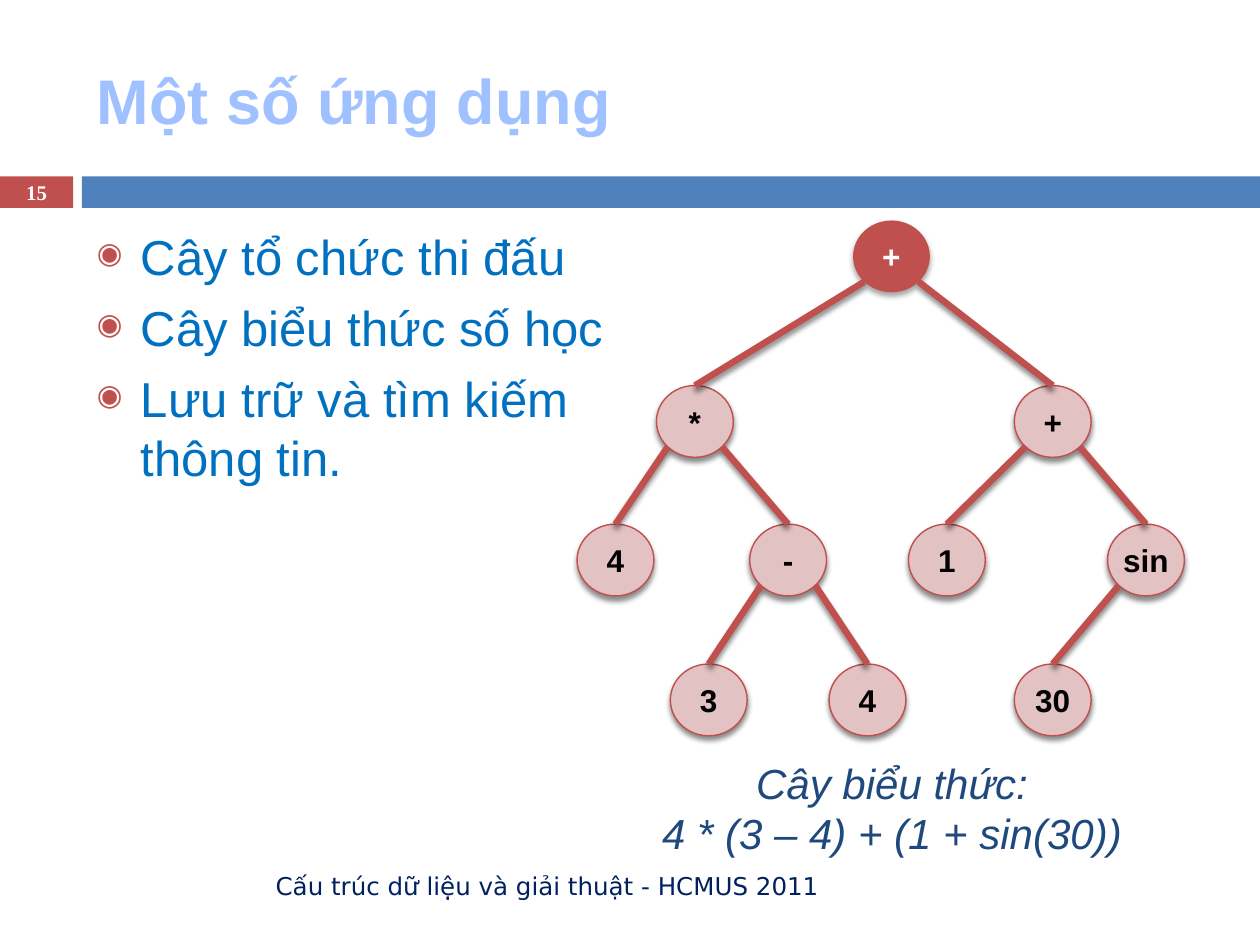
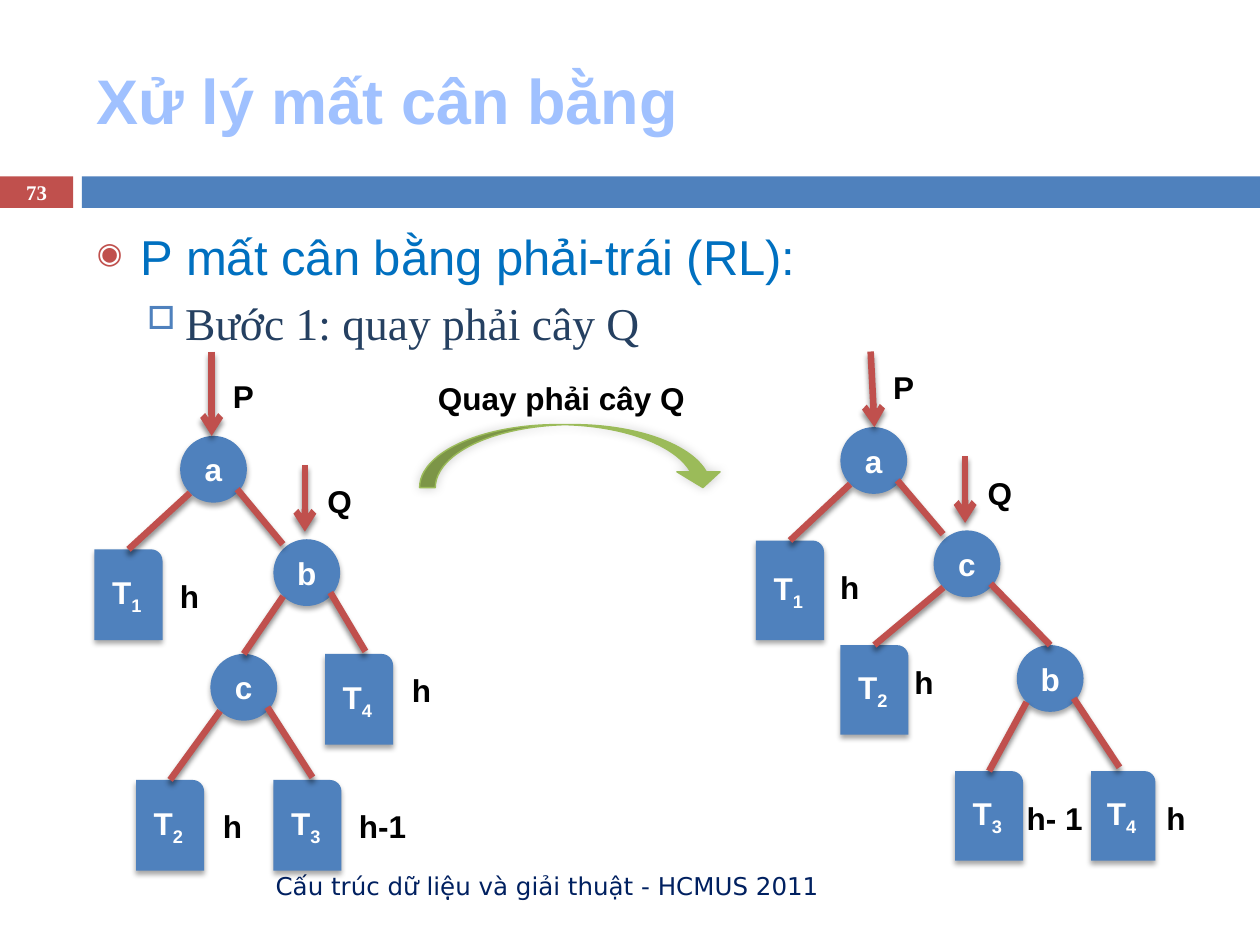
"""Builds two lecture slides on tree applications and AVL rotation."""
from dataclasses import dataclass

from lxml import etree
from pptx import Presentation
from pptx.dml.color import RGBColor
from pptx.enum.shapes import MSO_CONNECTOR, MSO_SHAPE
from pptx.enum.text import MSO_ANCHOR, PP_ALIGN
from pptx.oxml.ns import qn
from pptx.util import Inches, Pt

STRAIGHT = MSO_CONNECTOR.STRAIGHT
RECTANGLE, ELLIPSE = MSO_SHAPE.RECTANGLE, MSO_SHAPE.OVAL
SUBTREE, CURVED_ARROW = MSO_SHAPE.ROUND_1_RECTANGLE, MSO_SHAPE.CURVED_DOWN_ARROW
LEFT, CENTER, RIGHT = PP_ALIGN.LEFT, PP_ALIGN.CENTER, PP_ALIGN.RIGHT
TOP, MIDDLE = MSO_ANCHOR.TOP, MSO_ANCHOR.MIDDLE

RED, BLUE, GREEN, PINK = "C0504D", "4F81BD", "9BBB59", "E2C2C2"
WHITE, BLACK, TITLE_BLUE = "FFFFFF", "000000", "A0C1FF"
BODY_BLUE, SUB_BLUE, CAPTION_BLUE, FOOTER_BLUE = "0070C0", "254061", "1F497D", "002060"
SANS, SERIF, FOOTER_FONT = "Arial", "Times New Roman", "DejaVu Sans"
FOOTER = "Cấu trúc dữ liệu và giải thuật - HCMUS 2011"
DIAGONAL = 0.5 ** 0.5 / 2


@dataclass(frozen=True)
class Style:
    """Look of a piece of text."""
    size: float
    color: str
    font: str = SANS
    bold: bool = False
    italic: bool = False


@dataclass(frozen=True)
class Shadow:
    """Outer shadow with lengths in points."""
    opacity: int
    blur: float
    distance: float
    angle: int = 90


@dataclass(frozen=True)
class Bullet:
    """Look of one outline level."""
    mark: str
    color: str
    percent: int
    margin: float
    hanging: float
    space: float
    style: Style


@dataclass(frozen=True)
class NodeStyle:
    """Look of a tree node."""
    geometry: MSO_SHAPE
    fill: str
    text: str
    line: str | None
    shadow: Shadow


@dataclass(frozen=True)
class Node:
    """Tree node; entry is the offset of its edge from the top centre."""
    label: str
    left: float
    top: float
    width: float
    height: float
    style: NodeStyle
    parent: int | None = None
    entry: tuple[float, float] = (0, 0)

    @property
    def center(self) -> float:
        """Horizontal centre."""
        return self.left + self.width / 2


FILLED_SHADOW, LINED_SHADOW = Shadow(35, 3, 2), Shadow(45, 3, 2.4)
ROOT = NodeStyle(ELLIPSE, RED, WHITE, None, FILLED_SHADOW)
TERM = NodeStyle(ELLIPSE, PINK, BLACK, RED, LINED_SHADOW)
KEY = NodeStyle(ELLIPSE, BLUE, WHITE, None, FILLED_SHADOW)
LEAF = NodeStyle(SUBTREE, BLUE, WHITE, None, FILLED_SHADOW)
TITLE = Style(36, TITLE_BLUE, bold=True)
LABEL = Style(18, BLACK, bold=True)
LEVELS = (
    Bullet("◉", RED, 60, 0.35, 0.35, 7, Style(28, BODY_BLUE)),
    Bullet("□", BLUE, 70, 0.7, 0.3, 5.5, Style(26, SUB_BLUE, SERIF)),
)


def rgb(value: str) -> RGBColor:
    """Turn a hex string into a colour."""
    return RGBColor.from_string(value)


def format_paragraph(paragraph, style: Style, align=LEFT) -> None:
    """Apply a text style to every run of a paragraph."""
    paragraph.alignment = align
    for run in paragraph.runs:
        font = run.font
        font.name, font.size = style.font, Pt(style.size)
        font.bold, font.italic = style.bold, style.italic
        font.color.rgb = rgb(style.color)


def add_shadow(shape, shadow: Shadow | None) -> None:
    """Replace the theme shadow with the given one, or with none."""
    effects = etree.SubElement(shape._element.spPr, qn("a:effectLst"))
    if shadow:
        outer = etree.SubElement(
            effects, qn("a:outerShdw"), blurRad=str(Pt(shadow.blur)),
            dist=str(Pt(shadow.distance)), dir=str(shadow.angle * 60000), rotWithShape="0")
        color = etree.SubElement(outer, qn("a:srgbClr"), val=BLACK)
        etree.SubElement(color, qn("a:alpha"), val=str(shadow.opacity * 1000))


def add_shape(slide, geometry, box: tuple, fill: str, line: str | None = None,
              shadow: Shadow | None = None):
    """Draw a filled preset shape."""
    shape = slide.shapes.add_shape(geometry, *map(Inches, box))
    shape.fill.solid()
    shape.fill.fore_color.rgb = rgb(fill)
    if line:
        shape.line.color.rgb = rgb(line)
        shape.line.width = Pt(0.79)
    else:
        shape.line.fill.background()
    add_shadow(shape, shadow)
    return shape


def add_text(slide, text: str, box: tuple, style: Style, align=LEFT, anchor=TOP) -> None:
    """Draw a one-paragraph text box."""
    frame = slide.shapes.add_textbox(*map(Inches, box)).text_frame
    frame.word_wrap = True
    frame.vertical_anchor = anchor
    frame.paragraphs[0].text = text
    format_paragraph(frame.paragraphs[0], style, align)


def add_edge(slide, start: tuple, end: tuple, arrow: bool = False) -> None:
    """Draw a red line, with an arrowhead at its end if asked."""
    connector = slide.shapes.add_connector(STRAIGHT, *map(Inches, start + end))
    connector.line.color.rgb = rgb(RED)
    connector.line.width = Pt(3.75)
    if arrow:
        etree.SubElement(connector.line._get_or_add_ln(), qn("a:tailEnd"), type="arrow")
    add_shadow(connector, LINED_SHADOW)


def add_node(slide, node: Node) -> None:
    """Draw a node; digits in a subtree label become subscripts."""
    look = node.style
    shape = add_shape(slide, look.geometry, (node.left, node.top, node.width, node.height),
                      look.fill, look.line, look.shadow)
    frame = shape.text_frame
    frame.margin_left = frame.margin_right = 0
    frame.vertical_anchor = MIDDLE
    paragraph = frame.paragraphs[0]
    parts = list(node.label) if look is LEAF else [node.label]
    for part in parts:
        paragraph.add_run().text = part
    format_paragraph(paragraph, Style(18, look.text, bold=True), CENTER)
    for run in paragraph.runs[1:]:
        run.font._element.set("baseline", "-25000")


def add_tree(slide, nodes: list[Node], right_lift: float = 0) -> None:
    """Draw nodes, then edges from each parent's lower diagonal to its child."""
    for node in nodes:
        add_node(slide, node)
    for node in nodes:
        if node.parent is None:
            continue
        parent = nodes[node.parent]
        side = 1 if node.center > parent.center else -1
        start = (parent.center + side * DIAGONAL * parent.width,
                 parent.top + (0.5 + DIAGONAL) * parent.height - (right_lift if side > 0 else 0))
        add_edge(slide, start, (node.center + node.entry[0], node.top + node.entry[1]))


def add_outline(slide, items: list[tuple[int, str]]) -> None:
    """Draw the bulleted body text."""
    frame = slide.shapes.add_textbox(*map(Inches, (0.67, 1.75, 8.92, 4.92))).text_frame
    frame.word_wrap = True
    for index, (level, text) in enumerate(items):
        paragraph = frame.add_paragraph() if index else frame.paragraphs[0]
        bullet = LEVELS[level]
        paragraph.text = text
        properties = paragraph._p.get_or_add_pPr()
        properties.set("marL", str(Inches(bullet.margin)))
        properties.set("indent", str(-Inches(bullet.hanging)))
        color = etree.SubElement(properties, qn("a:buClr"))
        etree.SubElement(color, qn("a:srgbClr"), val=bullet.color)
        etree.SubElement(properties, qn("a:buSzPct"), val=str(bullet.percent * 1000))
        etree.SubElement(properties, qn("a:buChar"), char=bullet.mark)
        if index:
            paragraph.space_before = Pt(bullet.space)
        format_paragraph(paragraph, bullet.style)


def add_slide(presentation, title: str, number: int):
    """Add a slide with the shared bands, title, footer and number."""
    slide = presentation.slides.add_slide(presentation.slide_layouts[6])
    add_shape(slide, RECTANGLE, (0, 1.4, 0.58, 0.25), RED)
    add_shape(slide, RECTANGLE, (0.65, 1.4, 9.35, 0.25), BLUE)
    add_text(slide, title, (0.67, 0.25, 8.92, 1.08), TITLE, anchor=MIDDLE)
    add_text(slide, FOOTER, (0.67, 6.83, 5.93, 0.4), Style(14, FOOTER_BLUE, FOOTER_FONT),
             RIGHT, MIDDLE)
    add_text(slide, str(number), (0, 1.39, 0.58, 0.27), Style(11.9, WHITE, SERIF, bold=True),
             CENTER, MIDDLE)
    return slide


def build_applications(presentation) -> None:
    """Build the slide with the expression tree."""
    slide = add_slide(presentation, "Một số ứng dụng", 15)
    add_outline(slide, [(0, "Cây tổ chức thi đấu"), (0, "Cây biểu thức số học"),
                        (0, "Lưu trữ và tìm kiếm\nthông tin.")])
    row_tops = (1.75, 3.06, 4.16, 5.27)
    terms = [("+", 6.77, 0, None), ("*", 5.21, 1, 0), ("+", 8.05, 1, 0), ("4", 4.58, 2, 1),
             ("-", 5.95, 2, 1), ("1", 7.21, 2, 2), ("sin", 8.79, 2, 2), ("3", 5.32, 3, 4),
             ("4", 6.58, 3, 4), ("30", 8.05, 3, 6)]
    add_tree(slide, [Node(label, left, row_tops[row], 0.61, 0.57, TERM if row else ROOT, parent)
                     for label, left, row, parent in terms])
    add_text(slide, "Cây biểu thức:\n4 * (3 – 4) + (1 + sin(30))", (4.83, 5.96, 4.5, 0.91),
             Style(24, CAPTION_BLUE, italic=True), CENTER)


def key(label: str, left: float, top: float, parent: int | None = None,
        entry: tuple[float, float] = (0, 0)) -> Node:
    """Make a round key node."""
    return Node(label, left, top, 0.53, 0.53, KEY, parent, entry)


def leaf(label: str, left: float, top: float, parent: int, height: float,
         entry: tuple[float, float] = (0, 0), width: float = 0.54) -> Node:
    """Make a subtree box."""
    return Node(label, left, top, width, height, LEAF, parent, entry)


def build_rotation(presentation) -> None:
    """Build the slide with the trees before and after the rotation."""
    slide = add_slide(presentation, "Xử lý mất cân bằng", 73)
    add_outline(slide, [(0, "P mất cân bằng phải-trái (RL):"), (1, "Bước 1: quay phải cây Q")])
    arrow = add_shape(slide, CURVED_ARROW, (3.33, 3.37, 2.42, 0.5), GREEN, GREEN,
                      Shadow(20, 6, 0, 315))
    arrow.adjustments[0] = 0.25
    arrow.adjustments[1] = 0.686
    before = [key("a", 1.43, 3.46), key("b", 2.17, 4.28, 0, (-0.19, 0.04)),
              key("c", 1.67, 5.19, 1), leaf("T1", 0.75, 4.36, 0, 0.72),
              leaf("T4", 2.58, 5.19, 1, 0.72, (0.05, -0.02)), leaf("T2", 1.08, 6.19, 2, 0.72),
              leaf("T3", 2.17, 6.19, 2, 0.72, (0.04, -0.02))]
    after = [key("a", 6.67, 3.39), key("c", 7.41, 4.21, 0, (-0.19, 0.03)),
             key("b", 8.07, 5.12, 1), leaf("T1", 6, 4.29, 0, 0.79),
             leaf("T2", 6.67, 5.12, 1, 0.71), leaf("T3", 7.58, 6.12, 2, 0.71),
             leaf("T4", 8.66, 6.12, 2, 0.71, (-0.03, -0.03), 0.51)]
    for nodes in (before, after):
        add_tree(slide, nodes, right_lift=0.03)
    pointers = [((1.68, 2.79), (1.68, 3.46)), ((2.42, 3.69), (2.42, 4.22)),
                ((6.91, 2.79), (6.94, 3.39)), ((7.66, 3.62), (7.66, 4.15))]
    for start, end in pointers:
        add_edge(slide, start, end, arrow=True)
    labels = [("P", 1.75, 2.94), ("Q", 2.5, 3.78), ("h", 1.33, 4.53), ("h", 3.17, 5.28),
              ("h", 1.67, 6.36), ("h-1", 2.75, 6.36), ("P", 6.99, 2.87), ("Q", 7.74, 3.71),
              ("h", 6.57, 4.46), ("h", 7.16, 5.21), ("h- 1", 8.05, 6.29), ("h", 9.16, 6.29)]
    for text, left, top in labels:
        add_text(slide, text, (left, top, 0.67 if len(text) > 1 else 0.46, 0.4), LABEL)
    add_text(slide, "Quay phải cây Q", (3.33, 2.96, 2.25, 0.4), LABEL, CENTER)


def main() -> None:
    """Build and save the presentation."""
    presentation = Presentation()
    presentation.slide_width, presentation.slide_height = Inches(10), Inches(7.5)
    build_applications(presentation)
    build_rotation(presentation)
    presentation.save("out.pptx")


if __name__ == "__main__":
    main()
